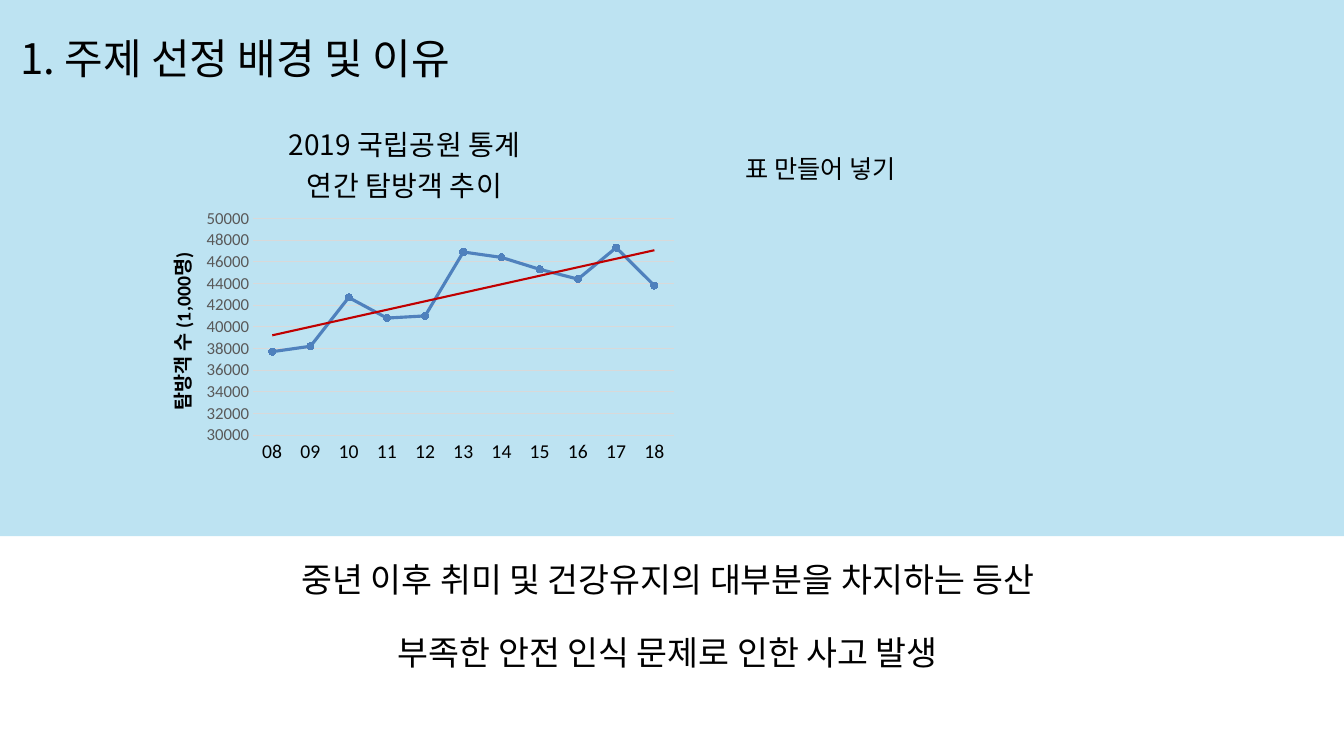
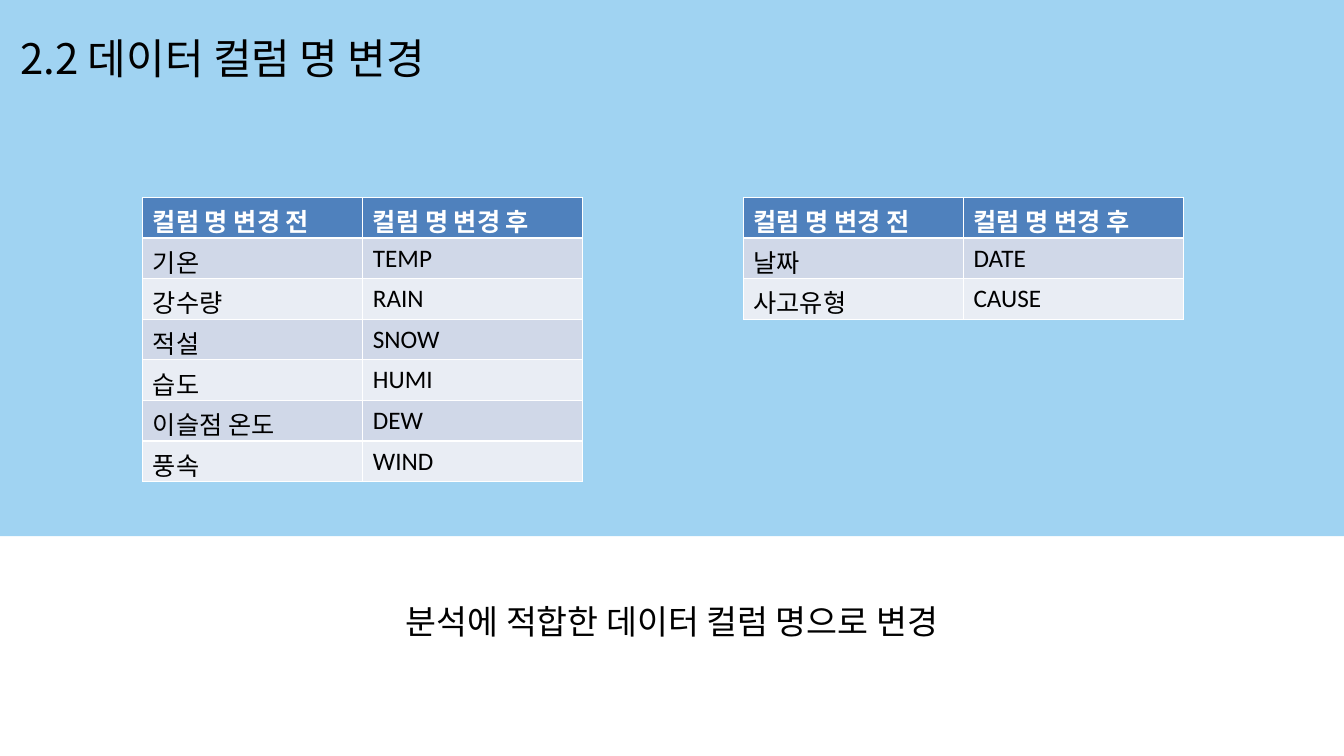
from dataclasses import dataclass

from pptx import Presentation
from pptx.chart.data import CategoryChartData
from pptx.dml.color import RGBColor
from pptx.enum.chart import XL_CHART_TYPE, XL_MARKER_STYLE, XL_TICK_MARK
from pptx.enum.shapes import MSO_SHAPE
from pptx.enum.text import MSO_ANCHOR, MSO_AUTO_SIZE, PP_ALIGN
from pptx.oxml import parse_xml
from pptx.oxml.ns import nsdecls, qn
from pptx.util import Pt


@dataclass(frozen=True)
class Theme:
    pale_sky: str = "BDE3F2"
    sky: str = "A0D3F2"
    blue: str = "4F81BD"
    trend: str = "C00000"
    grid: str = "D9D9D9"
    grey: str = "595959"
    ink: str = "000000"
    white: str = "FFFFFF"
    stripes: tuple = ("D0D8E8", "E9EDF4")
    korean: str = "Noto Sans CJK KR"
    latin: str = "Calibri"
    title: int = 30
    message: int = 24
    chart_title: int = 20
    body: int = 18
    axis: int = 14
    scale: int = 12


THEME = Theme()
WIDTH, HEIGHT = 960, 540
BAND_HEIGHT = 383
TITLE_BOX = (7.2, 3.6, 385, 57.6)
HEADINGS = ("컬럼 명 변경 전", "컬럼 명 변경 후")
WEATHER = (("기온", "TEMP"), ("강수량", "RAIN"), ("적설", "SNOW"),
           ("습도", "HUMI"), ("이슬점 온도", "DEW"), ("풍속", "WIND"))
ACCIDENT = (("날짜", "DATE"), ("사고유형", "CAUSE"))
YEARS = [f"{year:02}" for year in range(8, 19)]
VISITORS = (37700, 38200, 42700, 40800, 41000, 46900,
            46400, 45300, 44400, 47300, 43800)


def points(box):
    return [Pt(length) for length in box]


def style(font, size, color=THEME.ink, name=THEME.korean, bold=False):
    font.size = Pt(size)
    font.name = name
    font.bold = bold
    font.color.rgb = RGBColor.from_string(color)


def paint(fill, color):
    fill.solid()
    fill.fore_color.rgb = RGBColor.from_string(color)


def draw_line(line, color, width):
    line.color.rgb = RGBColor.from_string(color)
    line.width = Pt(width)


def add_base(deck, heading, band_color):
    slide = deck.slides.add_slide(deck.slide_layouts[5])
    band = slide.shapes.add_shape(
        MSO_SHAPE.RECTANGLE, *points((0, 0, WIDTH, BAND_HEIGHT)))
    band.shadow.inherit = False
    paint(band.fill, band_color)
    band.line.fill.background()
    slide.shapes._spTree.insert(2, band._element)

    title = slide.shapes.title
    title.left, title.top, title.width, title.height = points(TITLE_BOX)
    frame = title.text_frame
    frame.text = heading
    frame.auto_size = MSO_AUTO_SIZE.NONE
    frame.vertical_anchor = MSO_ANCHOR.MIDDLE
    paragraph = frame.paragraphs[0]
    paragraph.alignment = PP_ALIGN.LEFT
    paragraph.line_spacing = 1.5
    style(paragraph.font, THEME.title)
    return slide


def add_text(slide, box, lines, size, name=THEME.korean,
             align=PP_ALIGN.LEFT, gap=0):
    frame = slide.shapes.add_textbox(*points(box)).text_frame
    frame.word_wrap = True
    frame.text = "\n".join(lines)
    for index, paragraph in enumerate(frame.paragraphs):
        paragraph.alignment = align
        if index:
            paragraph.space_before = Pt(gap)
        style(paragraph.font, size, name=name)


def add_message(slide, box, lines):
    add_text(slide, box, lines, THEME.message, align=PP_ALIGN.CENTER, gap=23)


def set_layout(parent, target="", **fractions):
    layout = parent.find(qn("c:layout"))
    if layout is not None:
        parent.remove(layout)
    inner = f'<c:layoutTarget val="{target}"/>' if target else ""
    modes = '<c:xMode val="edge"/><c:yMode val="edge"/>'
    sizes = "".join(f'<c:{key} val="{value}"/>'
                    for key, value in fractions.items())
    position = 0 if parent.find(qn("c:tx")) is None else 1
    parent.insert(position, parse_xml(
        f'<c:layout {nsdecls("c")}><c:manualLayout>{inner}{modes}{sizes}'
        "</c:manualLayout></c:layout>"))


def add_trend(series):
    trend = parse_xml(
        f'<c:trendline {nsdecls("c", "a")}><c:spPr><a:ln w="{Pt(1.5)}">'
        f'<a:solidFill><a:srgbClr val="{THEME.trend}"/></a:solidFill></a:ln>'
        '</c:spPr><c:trendlineType val="linear"/><c:dispRSqr val="0"/>'
        '<c:dispEq val="0"/></c:trendline>')
    series._element.find(qn("c:cat")).addprevious(trend)


def style_axes(chart):
    years, visitors = chart.category_axis, chart.value_axis
    for axis in (years, visitors):
        axis.major_tick_mark = axis.minor_tick_mark = XL_TICK_MARK.NONE
    style(years.tick_labels.font, THEME.axis, name=THEME.latin)
    draw_line(years.format.line, THEME.grid, 0.75)

    visitors.minimum_scale, visitors.maximum_scale = 30000, 50000
    visitors.major_unit = 2000
    visitors.format.line.fill.background()
    draw_line(visitors.major_gridlines.format.line, THEME.grid, 0.75)
    style(visitors.tick_labels.font, THEME.scale, THEME.grey, THEME.latin)
    caption = visitors.axis_title
    caption.text_frame.text = "탐방객 수 (1,000명)"
    style(caption.text_frame.paragraphs[0].font, THEME.axis,
          name=THEME.latin, bold=True)
    caption.text_frame._txBody.bodyPr.set("rot", "-5400000")
    set_layout(caption._element, x=0.04, y=0.4)


def add_visitor_chart(slide, box):
    data = CategoryChartData(number_format="General")
    data.categories = YEARS
    data.add_series("탐방객 수", VISITORS)
    chart = slide.shapes.add_chart(
        XL_CHART_TYPE.LINE_MARKERS, *points(box), data).chart
    style(chart.font, 10, name=THEME.latin)
    chart.has_legend = False
    chart.has_title = True
    heading = chart.chart_title
    heading.text_frame.text = "2019 국립공원 통계\n연간 탐방객 추이"
    for paragraph in heading.text_frame.paragraphs:
        paragraph.alignment = PP_ALIGN.CENTER
        style(paragraph.font, THEME.chart_title)
    set_layout(heading._element, x=0.27, y=0.05)

    plot = chart.plots[0]
    plot.vary_by_categories = False
    series = plot.series[0]
    series.smooth = False
    draw_line(series.format.line, THEME.blue, 2.25)
    series.marker.style = XL_MARKER_STYLE.CIRCLE
    series.marker.size = 5
    paint(series.marker.format.fill, THEME.blue)
    draw_line(series.marker.format.line, THEME.blue, 0.75)
    add_trend(series)
    style_axes(chart)
    set_layout(plot._element.getparent(), "inner",
               x=0.21, y=0.32, w=0.78, h=0.58)


def add_rename_table(slide, left, top, names, width=314.4, row_height=29):
    rows = (HEADINGS, *names)
    box = (left, top, width, row_height * len(rows))
    table = slide.shapes.add_table(len(rows), 2, *points(box)).table
    for row_index, row in enumerate(rows):
        header = row_index == 0
        fill = THEME.blue if header else THEME.stripes[(row_index - 1) % 2]
        for column, text in enumerate(row):
            cell = table.cell(row_index, column)
            cell.text = text
            paint(cell.fill, fill)
            style(cell.text_frame.paragraphs[0].font, THEME.body,
                  THEME.white if header else THEME.ink, THEME.latin, header)


def build_background(deck):
    slide = add_base(deck, "1. 주제 선정 배경 및 이유", THEME.pale_sky)
    add_message(slide, (136, 396, 682, 116.6),
                ("중년 이후 취미 및 건강유지의 대부분을 차지하는 등산",
                 "부족한 안전 인식 문제로 인한 사고 발생"))
    add_visitor_chart(slide, (100, 70.6, 385, 267))
    add_text(slide, (525.6, 105.8, 221, 28.8), ("표 만들어 넣기",),
             THEME.body, THEME.latin)


def build_renaming(deck):
    slide = add_base(deck, "2.2 데이터 컬럼 명 변경", THEME.sky)
    add_message(slide, (247.7, 425.5, 464.4, 65.5),
                ("분석에 적합한 데이터 컬럼 명으로 변경",))
    for left, names in ((102, WEATHER), (531, ACCIDENT)):
        add_rename_table(slide, left, 141, names)


def main():
    deck = Presentation()
    deck.slide_width, deck.slide_height = Pt(WIDTH), Pt(HEIGHT)
    build_background(deck)
    build_renaming(deck)
    deck.save("out.pptx")


if __name__ == "__main__":
    main()
